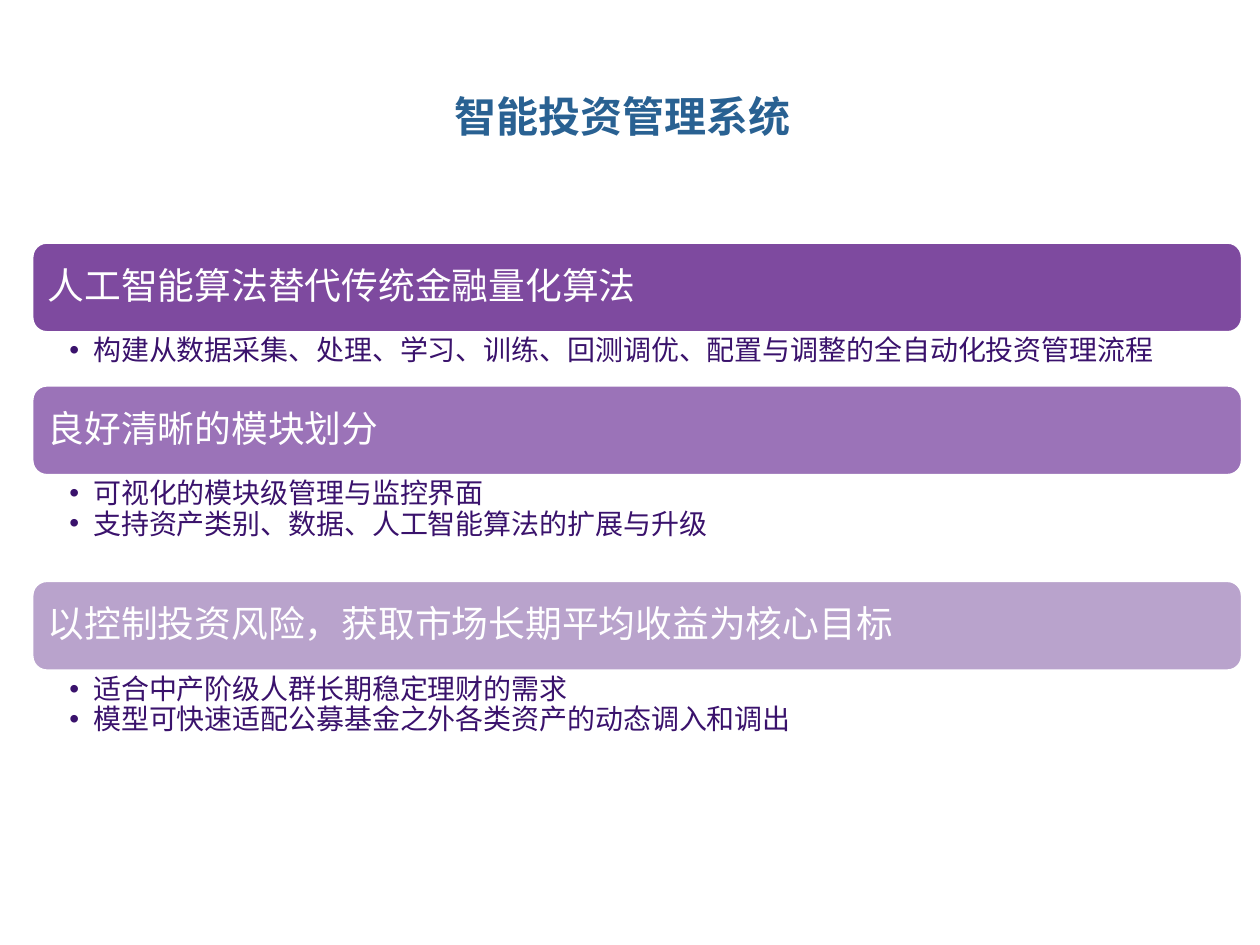
from lxml.etree import SubElement as Sub
from pptx import Presentation as Deck
from pptx.dml.color import RGBColor as Color
from pptx.enum.shapes import MSO_SHAPE as Shape
from pptx.enum.text import MSO_ANCHOR as Anchor, MSO_AUTO_SIZE as Fit, PP_ALIGN as Align
from pptx.oxml.ns import qn
from pptx.util import Cm, Pt

LEFT, TOP, WIDTH, BAR = 0.64, 4.88, 24.41, 1.83
HEAD = {"name": "Calibri", "size": Pt(24), "bold": True}
LABEL = {"name": "Calibri", "size": Pt(21), "bold": False}
ITEM = {"name": "Calibri", "size": Pt(16), "bold": False}
TIGHT = {"line_spacing": 0.9, "space_before": Pt(0), "space_after": Pt(0)}
# bar colour, label, list height in cm, list items
PARTS = [
    ("7E4A9F", "人工智能算法替代传统金融量化算法", 1.05,
     ["构建从数据采集、处理、学习、训练、回测调优、配置与调整的全自动化投资管理流程"]),
    ("9B73B8", "良好清晰的模块划分", 2.11,
     ["可视化的模块级管理与监控界面", "支持资产类别、数据、人工智能算法的扩展与升级"]),
    ("B9A3CC", "以控制投资风险，获取市场长期平均收益为核心目标", 2.11,
     ["适合中产阶级人群长期稳定理财的需求", "模型可快速适配公募基金之外各类资产的动态调入和调出"]),
]


def paint(hue):
    return Color.from_string(hue)


def apply(thing, form):
    for key, value in form.items():
        setattr(thing, key, value)


def place(shape, *box):
    apply(shape, dict(zip(("left", "top", "width", "height"), map(Cm, box))))


def frame(shape, anchor, *pads):
    """Set the text frame; pads are left, top, right and bottom in cm."""
    text = shape.text_frame
    apply(text, {"word_wrap": True, "auto_size": Fit.NONE, "vertical_anchor": anchor})
    sides = ("margin_left", "margin_top", "margin_right", "margin_bottom")
    apply(text, dict(zip(sides, map(Cm, pads))))
    return text


def write(para, words, form, hue, align=Align.LEFT):
    run = para.add_run()
    run.text = words
    apply(run.font, form)
    run.font.color.rgb = paint(hue)
    apply(para, {**TIGHT, "alignment": align})


def add_title(slide, words):
    title = slide.shapes.title
    place(title, 1.5, 1.7, 21.9, 1.7)
    text = frame(title, Anchor.TOP, 0.25, 0.13, 0.25, 0.13)
    write(text.paragraphs[0], words, HEAD, "296192", Align.CENTER)
    text.paragraphs[0].line_spacing = 1.0


def add_bar(slide, top, hue, words):
    bar = slide.shapes.add_shape(
        Shape.ROUNDED_RECTANGLE, *map(Cm, (LEFT, top, WIDTH, BAR)))
    bar.shadow.inherit = False
    bar.fill.solid()
    bar.fill.fore_color.rgb = paint(hue)
    bar.line.color.rgb = paint("FFFFFF")
    bar.line.width = Pt(2)
    text = frame(bar, Anchor.MIDDLE, 0.23, 0.23, 0.23, 0.23)
    write(text.paragraphs[0], words, LABEL, "FFFFFF")


def add_list(body, top, high, items):
    place(body, LEFT, top, WIDTH, high)
    text = frame(body, Anchor.TOP, 0.76, 0.08, 0.41, 0.08)
    for i, words in enumerate(items):
        para = text.add_paragraph() if i else text.paragraphs[0]
        para.level = 1
        write(para, words, ITEM, "3A126C")
        props = para._p.get_or_add_pPr()
        props.set("marL", str(Cm(0.48)))
        props.set("indent", str(-Cm(0.48)))
        Sub(props, qn("a:buFont"), typeface="Arial")
        Sub(props, qn("a:buChar"), char="•")


def main():
    deck = Deck()
    deck.slide_width, deck.slide_height = Cm(25.4), Cm(19.05)
    # The comparison layout offers a title and four bodies
    slide = deck.slides.add_slide(deck.slide_layouts[4])
    add_title(slide, " 智能投资管理系统")
    bodies = list(slide.placeholders)[1:]
    top = TOP
    for body, (hue, label, high, items) in zip(bodies, PARTS):
        add_bar(slide, top, hue, label)
        add_list(body, top + BAR, high, items)
        top += BAR + high
    for body in bodies[len(PARTS):]:
        body.element.getparent().remove(body.element)
    deck.save("out.pptx")


if __name__ == "__main__":
    main()
